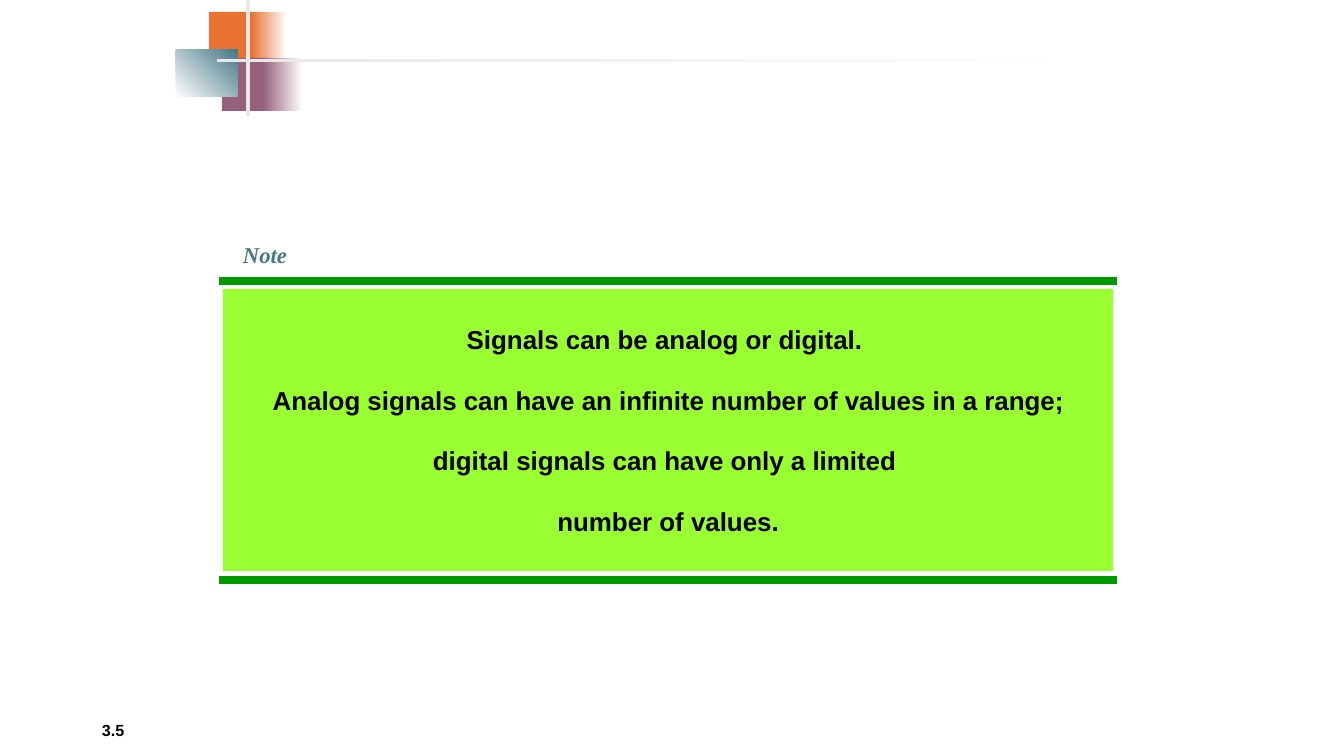
from lxml import etree
from pptx import Presentation
from pptx.dml.color import RGBColor
from pptx.enum import shapes, text
from pptx.oxml.ns import qn
from pptx.util import Emu, Pt

PX = 914400 / 100.8
COLORS = {
    "orange": "E97132",
    "plum": "96607D",
    "teal": "467886",
    "grey": "E8E8E8",
    "white": "FFFFFF",
    "black": "000000",
    "green": "009900",
    "lime": "99FF33",
}
LINE_SPACING = 1.95

# left, top, width, height, start colour, end colour, angle
ORNAMENT = [
    (209, 12, 48, 52, "orange", None, 0),
    (251, 12, 36, 52, "orange", "white", 0),
    (222, 58, 46, 53, "plum", None, 0),
    (263, 58, 40, 53, "plum", "white", 0),
    (176, 50, 62, 47, "white", "teal", 45),
    (246, 0, 4, 116, "grey", None, 0),
    (217, 59, 907, 3, "grey", "white", 0),
]
STATEMENT = (
    "Signals can be analog or digital. \v"
    "Analog signals can have an infinite number of values in a range; "
    "digital signals can have only a limited \v"
    "number of values."
)


def px(value):
    return Emu(round(value * PX))


def rgb(name):
    return RGBColor.from_string(COLORS[name])


def add_block(slide, left, top, width, height, start, end=None, angle=0):
    """Add a borderless rectangle, filled plainly or fading from start to end."""
    block = slide.shapes.add_shape(
        shapes.MSO_SHAPE.RECTANGLE, px(left), px(top), px(width), px(height))
    block.shadow.inherit = False
    block.line.fill.background()
    if end:
        block.fill.gradient()
        block.fill.gradient_angle = angle
        for stop, name in zip(block.fill.gradient_stops, (start, end)):
            stop.color.rgb = rgb(name)
    else:
        block.fill.solid()
        block.fill.fore_color.rgb = rgb(start)
    return block


def add_rule(slide, left, right, y):
    rule = slide.shapes.add_connector(
        shapes.MSO_CONNECTOR.STRAIGHT, px(left), px(y), px(right), px(y))
    rule.line.color.rgb = rgb("green")
    rule.line.width = Pt(6)
    etree.SubElement(rule._element.spPr, qn("a:effectLst"))


def write(shape, words, size, font="Arial", color="black", italic=False,
          align=text.PP_ALIGN.LEFT, anchor=text.MSO_ANCHOR.TOP, wrap=True):
    frame = shape.text_frame
    frame.text = words
    frame.auto_size = text.MSO_AUTO_SIZE.NONE
    frame.word_wrap = wrap
    frame.vertical_anchor = anchor
    frame.margin_left = frame.margin_right = px(10)
    frame.margin_top = frame.margin_bottom = px(5)
    paragraph = frame.paragraphs[0]
    paragraph.alignment = align
    paragraph.line_spacing = LINE_SPACING
    paragraph.space_before = Pt(0)
    paragraph.font.name = font
    paragraph.font.size = Pt(size)
    paragraph.font.bold = True
    paragraph.font.italic = italic
    paragraph.font.color.rgb = rgb(color)


def add_heading(slide):
    heading = slide.shapes.title
    heading.left, heading.top = px(233), px(210)
    heading.width, heading.height = px(97), px(57)
    write(heading, "Note", 16.2, font="Times New Roman", color="teal",
          italic=True, wrap=False)


def add_page_number(slide):
    number = slide.shapes.add_textbox(px(92), px(701), px(302), px(40))
    write(number, "3.5", 11.5, anchor=text.MSO_ANCHOR.MIDDLE)


def main():
    deck = Presentation()
    deck.slide_width, deck.slide_height = px(1344), px(756)
    slide = deck.slides.add_slide(deck.slide_layouts[5])

    add_page_number(slide)
    for block in ORNAMENT:
        add_block(slide, *block)
    for y in (281, 580):
        add_rule(slide, 219, 1117, y)
    panel = add_block(slide, 223, 289, 890, 282, "lime")
    write(panel, STATEMENT, 18.5, align=text.PP_ALIGN.CENTER)
    add_heading(slide)

    deck.save("out.pptx")


if __name__ == "__main__":
    main()
